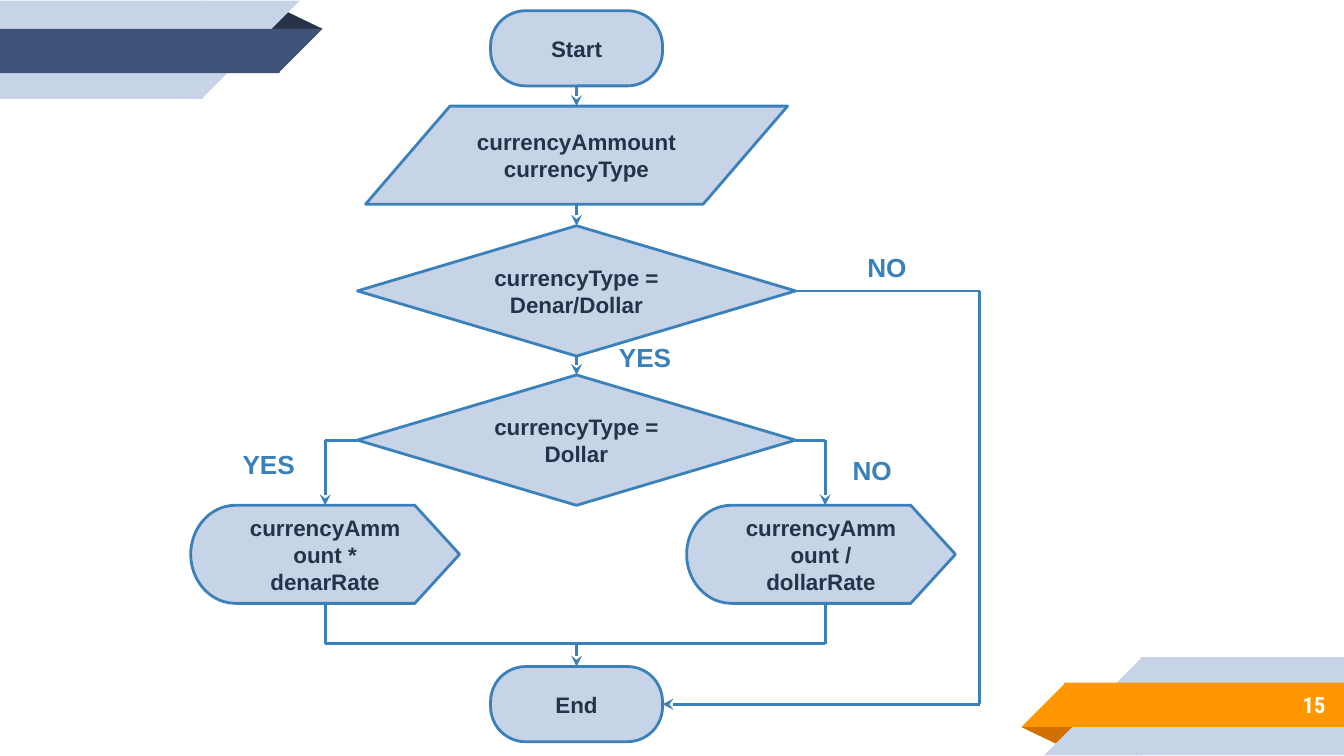
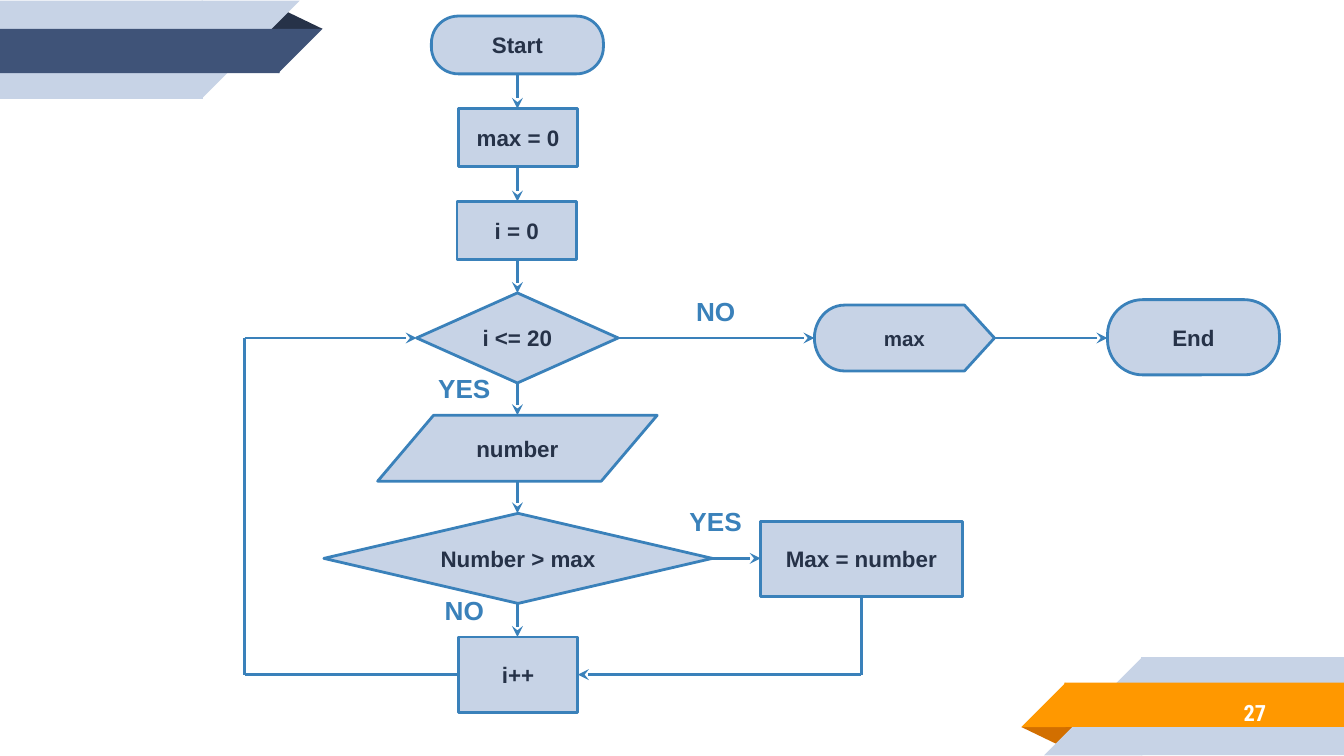
from lxml import etree
from pptx import Presentation
from pptx.dml.color import RGBColor
from pptx.enum.shapes import MSO_CONNECTOR, MSO_SHAPE
from pptx.enum.text import MSO_ANCHOR, PP_ALIGN
from pptx.oxml.ns import qn
from pptx.util import Inches, Pt

PALE = RGBColor(0xC7, 0xD3, 0xE6)
BLUE = RGBColor(0x3A, 0x81, 0xBA)
NAVY = RGBColor(0x26, 0x32, 0x48)
INDIGO = RGBColor(0x3F, 0x53, 0x78)
ORANGE = RGBColor(0xFF, 0x98, 0x00)
RUST = RGBColor(0xD2, 0x6F, 0x00)
WHITE = RGBColor(0xFF, 0xFF, 0xFF)

TERMINAL = MSO_SHAPE.ROUNDED_RECTANGLE
INPUT = MSO_SHAPE.FLOWCHART_DATA
DECISION = MSO_SHAPE.FLOWCHART_DECISION
OUTPUT = MSO_SHAPE.FLOWCHART_DISPLAY
PROCESS = MSO_SHAPE.RECTANGLE
FOLD = MSO_SHAPE.ISOSCELES_TRIANGLE
SLOPE = MSO_SHAPE.RIGHT_TRIANGLE
STRAIGHT = MSO_CONNECTOR.STRAIGHT
CENTER, RIGHT = PP_ALIGN.CENTER, PP_ALIGN.RIGHT
TOP, MIDDLE = MSO_ANCHOR.TOP, MSO_ANCHOR.MIDDLE

SLIDE_W = 10
SLIDE_H = SLIDE_W * 9 / 16
BODY_FONT, NUMBER_FONT = "Arial", "Roboto Condensed"


def write(shape, text, size, color, font=BODY_FONT, align=CENTER, anchor=MIDDLE):
    frame = shape.text_frame
    frame.word_wrap = True
    frame.vertical_anchor = anchor
    frame.margin_left = frame.margin_right = Inches(0.1)
    frame.margin_top = frame.margin_bottom = Inches(0.1)
    frame.text = text
    for paragraph in frame.paragraphs:
        paragraph.alignment = align
        for run in paragraph.runs:
            run.font.name = font
            run.font.size = Pt(size)
            run.font.bold = True
            run.font.color.rgb = color


def filled_shape(slide, kind, box, fill):
    shape = slide.shapes.add_shape(kind, *map(Inches, box))
    shape.shadow.inherit = False
    shape.fill.solid()
    shape.fill.fore_color.rgb = fill
    return shape


def flip(shape):
    shape._element.spPr.get_or_add_xfrm().set("flipH", "1")


def corner_ribbon(slide, band, fold, turned=False):
    """Ribbon in the lower right corner, or turned about the slide centre."""
    pieces = [
        (FOLD, (7.6, 5.41, 0.43, 0.14), fold),
        (PROCESS, (8.49, 4.89, 1.51, 0.73), PALE),
        (SLOPE, (7.77, 4.89, 0.73, 0.73), PALE),
        (PROCESS, (7.92, 5.08, 2.08, 0.33), band),
        (SLOPE, (7.6, 5.08, 0.33, 0.33), band),
    ]
    for kind, (x, y, w, h), color in pieces:
        if turned:
            x, y = SLIDE_W - x - w, SLIDE_H - y - h
        piece = filled_shape(slide, kind, (x, y, w, h), color)
        piece.line.fill.background()
        if kind == FOLD:
            piece.adjustments[0] = 0.324
            piece.rotation = 0 if turned else 180
        else:
            flip(piece)
            piece.rotation = 180 if turned else 0


def add_text(slide, text, box, *style, **options):
    write(slide.shapes.add_textbox(*map(Inches, box)), text, *style, **options)


def new_slide(deck, number, number_x, number_y):
    slide = deck.slides.add_slide(deck.slide_layouts[6])
    corner_ribbon(slide, ORANGE, RUST)
    corner_ribbon(slide, INDIGO, NAVY, turned=True)
    add_text(slide, number, (number_x, number_y, 1.63, 0.35), 12, WHITE,
             font=NUMBER_FONT, align=RIGHT)
    return slide


def node(slide, kind, text, x, y, w, h, size=12):
    step = filled_shape(slide, kind, (x, y, w, h), PALE)
    step.line.color.rgb = BLUE
    step.line.width = Pt(1.5)
    if kind == TERMINAL:
        step.adjustments[0] = 0.467
    if kind == OUTPUT:
        flip(step)
    write(step, text, size, NAVY)
    return step


def branch_labels(slide, labels, w, h):
    for text, x, y in labels:
        add_text(slide, text, (x, y, w, h), 14, BLUE, anchor=TOP)


def side(step, name):
    """Middle of one side of a flowchart step."""
    center_x = step.left + step.width // 2
    center_y = step.top + step.height // 2
    return {
        "top": (center_x, step.top),
        "bottom": (center_x, step.top + step.height),
        "left": (step.left, center_y),
        "right": (step.left + step.width, center_y),
    }[name]


def route(slide, *points, arrow=True):
    """Straight lines through the points, with an arrowhead on the last."""
    for start, end in zip(points, points[1:]):
        line = slide.shapes.add_connector(STRAIGHT, *start, *end)
        line.line.color.rgb = BLUE
        line.line.width = Pt(1.5)
        properties = line._element.spPr
        if arrow and end == points[-1]:
            head = etree.SubElement(properties.find(qn("a:ln")), qn("a:tailEnd"))
            head.set("type", "stealth")
        etree.SubElement(properties, qn("a:effectLst"))


def chain_down(slide, *steps):
    x = side(steps[0], "bottom")[0]
    for upper, lower in zip(steps, steps[1:]):
        route(slide, (x, side(upper, "bottom")[1]), (x, lower.top))


def link_right(slide, before, after):
    x, y = side(before, "right")
    route(slide, (x, y), (after.left, y))


def currency_slide(deck):
    slide = new_slide(deck, "15", 8.33, 5.07)
    start = node(slide, TERMINAL, "Start", 3.65, 0.08, 1.28, 0.56)
    end = node(slide, TERMINAL, "End", 3.65, 4.96, 1.28, 0.56)
    entry = node(slide, INPUT, "currencyAmmount\ncurrencyType", 2.72, 0.79, 3.14, 0.73)
    is_known = node(slide, DECISION, "currencyType = Denar/Dollar", 2.66, 1.68, 3.26, 0.97)
    is_dollar = node(slide, DECISION, "currencyType = Dollar", 2.66, 2.79, 3.26, 0.97)
    times = node(slide, OUTPUT, "currencyAmmount * denarRate", 1.42, 3.76, 2, 0.73)
    divided = node(slide, OUTPUT, "currencyAmmount / dollarRate", 5.11, 3.76, 2, 0.73)

    chain_down(slide, start, entry, is_known, is_dollar)

    bypass_x = Inches(7.29)
    known_no, end_right = side(is_known, "right"), side(end, "right")
    route(slide, known_no, (bypass_x, known_no[1]), (bypass_x, end_right[1]), end_right)

    merge_y = Inches(4.79)
    branches = [(times, "left", side(times, "top")[0]),
                (divided, "right", Inches(6.14))]
    for result, exit_side, x in branches:
        leave = side(is_dollar, exit_side)
        route(slide, leave, (x, leave[1]), (x, result.top))
        route(slide, (x, result.top + result.height), (x, merge_y), arrow=False)
    route(slide, *[(x, merge_y) for _, _, x in branches], arrow=False)
    end_top = side(end, "top")
    route(slide, (end_top[0], merge_y), end_top)

    branch_labels(slide, [("NO", 6.17, 1.77), ("NO", 6.06, 3.28),
                          ("YES", 4.37, 2.44), ("YES", 1.57, 3.24)], 0.86, 0.56)


def maximum_slide(deck):
    slide = new_slide(deck, "27", 7.89, 5.13)
    start = node(slide, TERMINAL, "Start", 3.21, 0.12, 1.28, 0.43)
    end = node(slide, TERMINAL, "End", 8.24, 2.23, 1.28, 0.56)
    entry = node(slide, INPUT, "number", 2.81, 3.09, 2.08, 0.49)
    in_range = node(slide, DECISION, "i <= 20", 3.1, 2.18, 1.5, 0.67)
    result = node(slide, OUTPUT, "max", 6.06, 2.27, 1.34, 0.49, size=11)
    reset_max = node(slide, PROCESS, "max = 0", 3.41, 0.81, 0.89, 0.43)
    reset_i = node(slide, PROCESS, "i = 0", 3.4, 1.5, 0.89, 0.43)
    is_larger = node(slide, DECISION, "Number > max", 2.41, 3.82, 2.89, 0.67)
    increment = node(slide, PROCESS, "i++", 3.41, 4.74, 0.89, 0.56)
    keep = node(slide, PROCESS, "Max = number", 5.66, 3.88, 1.5, 0.56)

    chain_down(slide, start, reset_max, reset_i, in_range, entry, is_larger, increment)
    for before, after in [(is_larger, keep), (in_range, result), (result, end)]:
        link_right(slide, before, after)

    loop_x = Inches(1.82)
    loop_start, loop_end = side(increment, "left"), side(in_range, "left")
    route(slide, loop_start, (loop_x, loop_start[1]), (loop_x, loop_end[1]), loop_end)

    kept, rejoin = side(keep, "bottom"), side(increment, "right")
    route(slide, kept, (kept[0], rejoin[1]), rejoin)

    branch_labels(slide, [("YES", 3.07, 2.67), ("YES", 4.94, 3.66),
                          ("NO", 4.94, 2.1), ("NO", 3.07, 4.32)], 0.77, 0.41)


def main():
    deck = Presentation()
    deck.slide_width, deck.slide_height = Inches(SLIDE_W), Inches(SLIDE_H)
    currency_slide(deck)
    maximum_slide(deck)
    deck.save("out.pptx")


if __name__ == "__main__":
    main()
